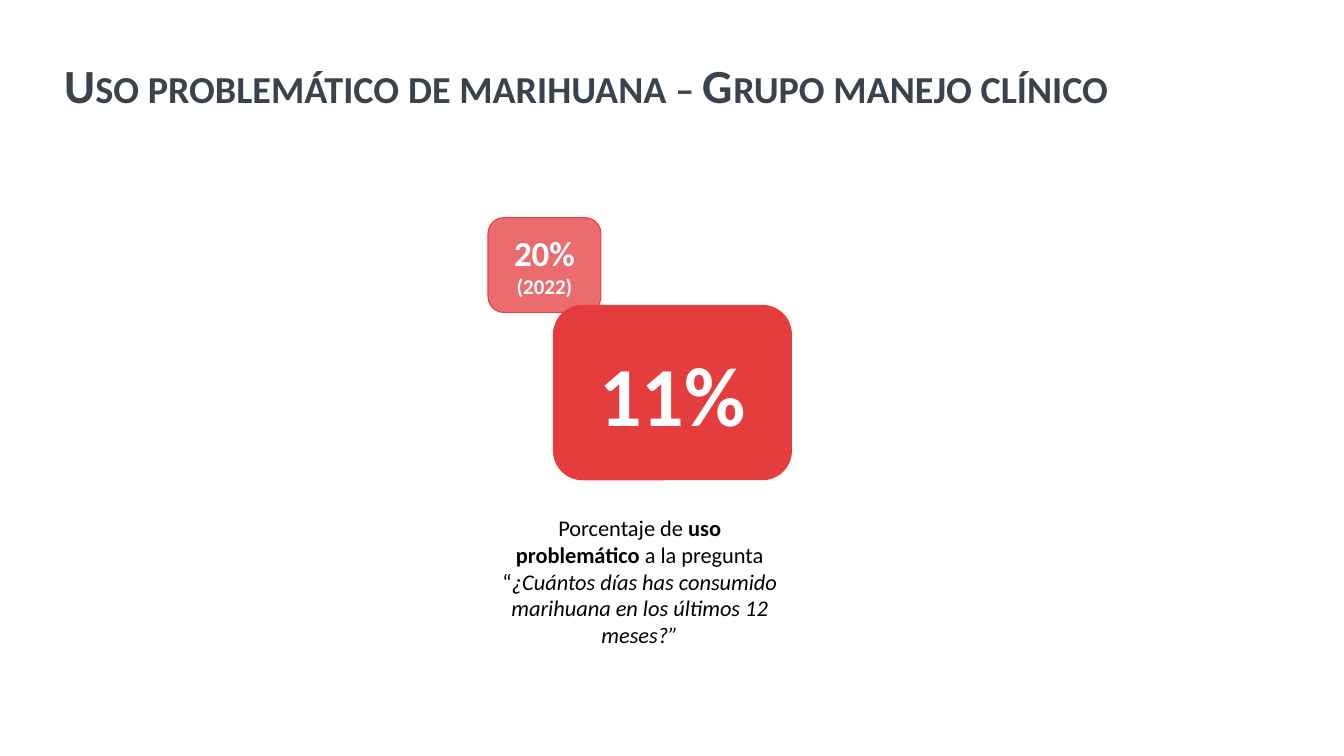
from lxml.etree import SubElement
from pptx import Presentation
from pptx.dml.color import RGBColor
from pptx.enum.shapes import MSO_SHAPE as Shape
from pptx.enum.text import MSO_ANCHOR as Anchor, PP_ALIGN as Align
from pptx.oxml.ns import qn
from pptx.util import Emu, Pt

PX = 9144
SLATE = RGBColor(0x3A, 0x43, 0x4C)
RED = RGBColor(0xE5, 0x3C, 0x3E)
WHITE = RGBColor(0xFF, 0xFF, 0xFF)
BLACK = RGBColor(0, 0, 0)


def px(*lengths):
    return [Emu(length * PX) for length in lengths]


def write(para, text, size, color, bold=False, italic=False, small_caps=False):
    span = para.add_run()
    span.text = text
    font = span.font
    font.name = "Calibri"
    font.size = Pt(size)
    font.bold = bold
    font.italic = italic
    font.color.rgb = color
    if small_caps:
        span._r.get_or_add_rPr().set("cap", "small")


def add_text_box(page, box, anchor):
    frame = page.shapes.add_textbox(*px(*box)).text_frame
    frame.word_wrap = True
    frame.vertical_anchor = anchor
    return frame.paragraphs[0]


def add_title(page, box):
    para = add_text_box(page, box, Anchor.MIDDLE)
    para.line_spacing = 0.9
    write(para, "Uso problemático de marihuana – Grupo manejo clínico",
          34, SLATE, bold=True, small_caps=True)


def add_badge(page, box, lines, opacity=100):
    badge = page.shapes.add_shape(Shape.ROUNDED_RECTANGLE, *px(*box))
    badge.shadow.inherit = False
    badge.fill.solid()
    badge.fill.fore_color.rgb = RED
    badge.line.color.rgb = RED
    badge.line.width = Pt(0.75)
    if opacity < 100:
        color = badge._element.spPr.find(qn("a:solidFill")).find(qn("a:srgbClr"))
        SubElement(color, qn("a:alpha")).set("val", str(opacity * 1000))
    frame = badge.text_frame
    frame.word_wrap = True
    frame.vertical_anchor = Anchor.MIDDLE
    for index, (text, size) in enumerate(lines):
        para = frame.add_paragraph() if index else frame.paragraphs[0]
        para.alignment = Align.CENTER
        write(para, text, size, WHITE, bold=True)


def add_caption(page, box):
    para = add_text_box(page, box, Anchor.TOP)
    para.alignment = Align.CENTER
    write(para, "Porcentaje de ", 16, BLACK)
    write(para, "uso problemático", 16, BLACK, bold=True)
    write(para, " a la pregunta “", 16, BLACK)
    write(para, "¿Cuántos días has consumido marihuana en los últimos 12 meses?”",
          16, BLACK, italic=True)


def add_result(page, box):
    left, top, width, height = box
    add_badge(page, (left + 65, top + 87, 236, 173), [("11%", 60)])
    add_caption(page, (left, top + height - 145, width, 145))
    add_badge(page, (left, top, 112, 94), [("20%", 25), ("(2022)", 15)], opacity=75)


def main():
    deck = Presentation()
    deck.slide_width, deck.slide_height = px(1333, 750)
    page = deck.slides.add_slide(deck.slide_layouts[6])
    add_title(page, (54, 40, 1273, 94))
    add_result(page, (484, 216, 301, 434))
    deck.save("out.pptx")


if __name__ == "__main__":
    main()
